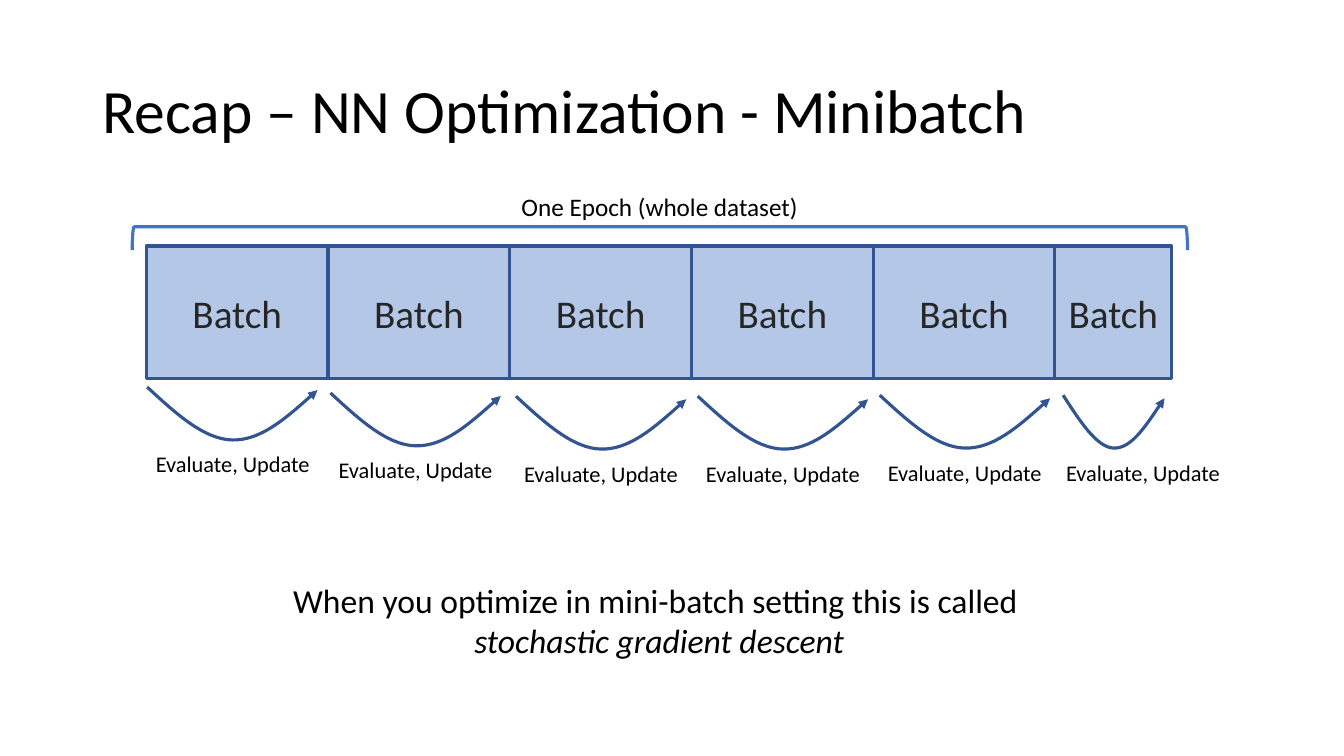
from pptx import Presentation
from pptx.dml.color import RGBColor
from pptx.enum.shapes import MSO_SHAPE
from pptx.enum.text import MSO_ANCHOR, PP_ALIGN
from pptx.oxml.ns import qn
from pptx.util import Pt
from lxml.etree import SubElement

# Content
TITLE = "Recap – NN Optimization - Minibatch"
EPOCH = "One Epoch (whole dataset)"
BATCH = "Batch"
STEP = "Evaluate, Update"
CONCLUSION = [("When you optimize in mini-batch setting this is called ", False),
              ("stochastic gradient descent", True)]

# Batches: width; left, top and width of the arrow; left and width of its label
FULL, LAST = 129.8, 83.5
STEPS = [
    (FULL, (105.1, 276.5, 121.7), (96.4, 139.7)),
    (FULL, (236, 280.7, 121.7), (227, 139.7)),
    (FULL, (368.5, 283, 121.7), (359.5, 139.7)),
    (FULL, (498.4, 283, 121.7), (489.4, 139.7)),
    (FULL, (628.4, 282.3, 121.7), (619.3, 139.7)),
    (LAST, (759.4, 282.3, 72.4), (753.8, 125.3)),
]
BATCH_LEFT, BATCH_TOP, BATCH_HEIGHT = 104.5, 175.7, 95
LABEL_DROP = 41.8
# Depths of the two Bezier pieces of an arrow, at equal steps across its width
ARROW_DEPTHS = [0, 18.7, 37.4, 37.8, 38.2, 20.2, 2.2]

FONT = "Calibri"
BLACK, DARK, BLUE, NAVY, PALE = "000000", "262626", "4472C4", "325491", "B4C7E7"

presentation = Presentation()
presentation.slide_width, presentation.slide_height = Pt(960), Pt(540)
slide = presentation.slides.add_slide(presentation.slide_layouts[6])


def color(value):
    return RGBColor.from_string(value)


def write(shape, lines, size, ink=BLACK, align=PP_ALIGN.CENTER,
          anchor=MSO_ANCHOR.TOP, wrap=True, spacing=None):
    frame = shape.text_frame
    frame.word_wrap = wrap
    frame.vertical_anchor = anchor
    for index, (text, italic) in enumerate(lines):
        paragraph = frame.add_paragraph() if index else frame.paragraphs[0]
        paragraph.alignment = align
        paragraph.line_spacing = spacing
        run = paragraph.add_run()
        run.text = text
        run.font.name, run.font.size = FONT, Pt(size)
        run.font.italic = italic
        run.font.color.rgb = color(ink)


def add_text(lines, left, top, width, height, size, **options):
    box = slide.shapes.add_textbox(Pt(left), Pt(top), Pt(width), Pt(height))
    write(box, lines, size, **options)


def style(shape, line, fill=None):
    shape.shadow.inherit = False
    if fill:
        shape.fill.solid()
        shape.fill.fore_color.rgb = color(fill)
    else:
        shape.fill.background()
    shape.line.color.rgb = color(line)
    shape.line.width = Pt(2.25)


def add_arrow(left, top, width):
    points = [(Pt(left + width * index / 6), Pt(top + depth))
              for index, depth in enumerate(ARROW_DEPTHS)]
    builder = slide.shapes.build_freeform(*points[0])
    builder.add_line_segments(points[1:], close=False)
    arrow = builder.convert_to_shape()
    style(arrow, NAVY)
    # Join every three line points into one Bezier piece
    segments = list(arrow.element.iter(qn("a:lnTo")))
    outline = segments[0].getparent()
    for start in (0, 3):
        curve = SubElement(outline, qn("a:cubicBezTo"))
        for segment in segments[start:start + 3]:
            curve.append(segment[0])
            outline.remove(segment)
    SubElement(arrow.line._get_or_add_ln(), qn("a:tailEnd"), type="triangle")


# Title
add_text([(TITLE, False)], 66, 28.8, 828, 104.4, 44, align=PP_ALIGN.LEFT,
         anchor=MSO_ANCHOR.MIDDLE, spacing=0.9)

# Batches with their update steps
batch_left = BATCH_LEFT
for batch_width, (left, top, width), (label_left, label_width) in STEPS:
    batch = slide.shapes.add_shape(MSO_SHAPE.RECTANGLE, Pt(batch_left), Pt(BATCH_TOP),
                                   Pt(batch_width), Pt(BATCH_HEIGHT))
    style(batch, NAVY, PALE)
    write(batch, [(BATCH, False)], 28, ink=DARK, anchor=MSO_ANCHOR.MIDDLE)
    batch_left += batch_width
    add_arrow(left, top, width)
    add_text([(STEP, False)], label_left, top + LABEL_DROP, label_width, 26.6, 16)

# Epoch bracket, turned to open downwards
bracket = slide.shapes.add_shape(MSO_SHAPE.LEFT_BRACKET, Pt(463), Pt(-206.6),
                                 Pt(16.6), Pt(753.8))
bracket.rotation = 90
style(bracket, BLUE)
add_text([(EPOCH, False)], 336.2, 133.2, 270, 29, 18)

# Conclusion
add_text(CONCLUSION, 199.4, 410.4, 542.9, 65.5, 24, wrap=False)

presentation.save("out.pptx")
